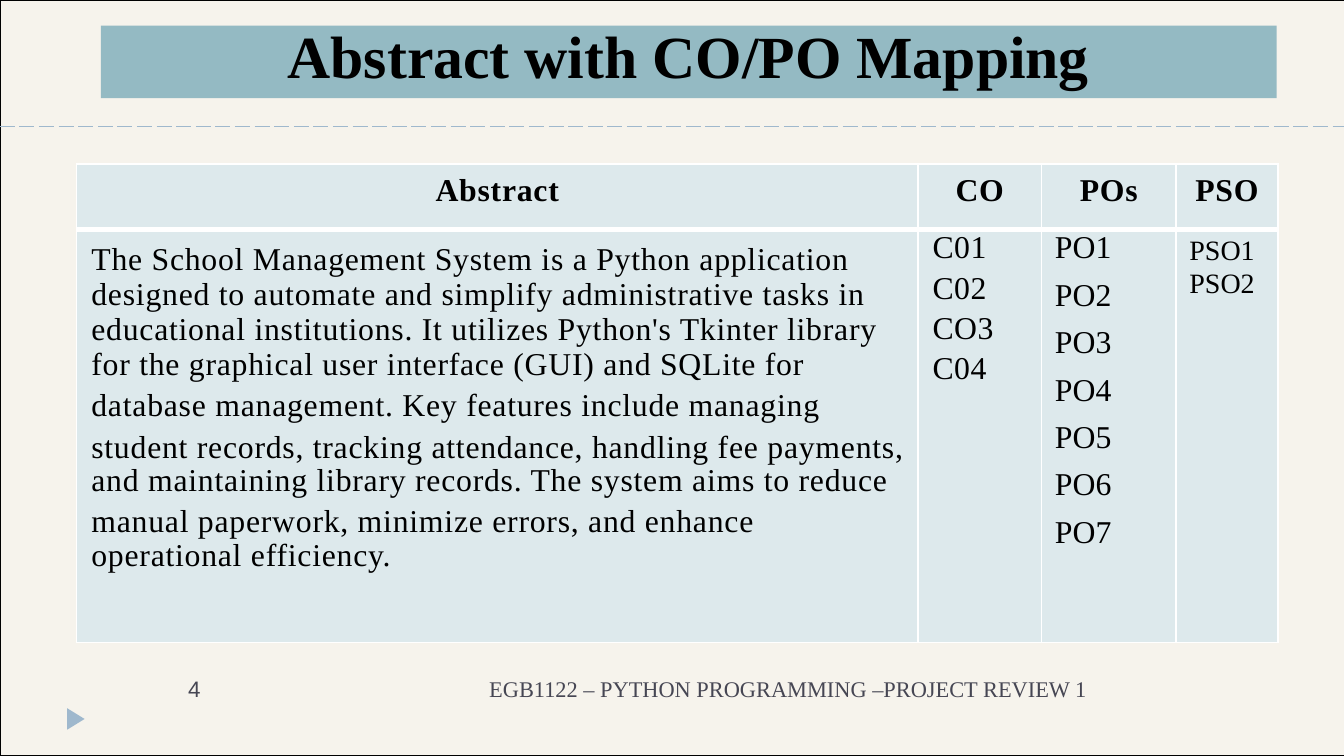
"""Builds the abstract slide with its course and programme outcome mapping."""
from pptx import Presentation
from pptx.dml.color import RGBColor
from pptx.enum.shapes import MSO_SHAPE as Shape
from pptx.enum.text import MSO_ANCHOR as Anchor, PP_ALIGN as Align
from pptx.oxml import parse_xml
from pptx.oxml.ns import nsdecls, qn
from pptx.util import Inches, Pt
from lxml.etree import SubElement

THEME = dict(
    paper="DED3B9", banner="94BAC3", accent="9FB8CD", cell="DDE9EC", white="FFFFFF",
    ink="000000", muted="464653", serif="Times New Roman", sans="Arial",
    title=32, body=17, small=15, footer=12, paper_alpha=27,
)
TITLE = "Abstract with CO/PO Mapping"
PAGE = "4"
FOOTER = "EGB1122 – PYTHON PROGRAMMING –PROJECT REVIEW 1"
ABSTRACT = [
    "The School Management System is a Python application "
    "designed to automate and simplify administrative tasks in "
    "educational institutions. It utilizes Python's Tkinter library "
    "for the graphical user interface (GUI) and SQLite for",
    "database management. Key features include managing",
    "student records, tracking attendance, handling fee payments, "
    "and maintaining library records. The system aims to reduce",
    "manual paperwork, minimize errors, and enhance\voperational efficiency.",
]
COLUMNS = [
    dict(head="Abstract", width=6.26, items=ABSTRACT, size="body", top=0.09, left=0.11,
         right=0.05, lines=(18.9, 18, 18, 18), gap=4, spacing=0.4),
    dict(head="CO", width=0.92, items=["C01", "C02", "CO3", "C04"], size="body",
         top=0.06, left=0.11, right=0, lines=(15,) * 4, gap=6.6, spacing=0.2),
    dict(head="POs", width=1, items=[f"PO{n}" for n in range(1, 8)], size="body",
         top=0.06, left=0.1, right=0, lines=(15,) * 7, gap=10.4, spacing=0),
    dict(head="PSO", width=0.76, items=["PSO1 PSO2"], size="small",
         top=0.03, left=0.1, right=0, lines=(17.7,), gap=0, spacing=0),
]
ROW_HEIGHTS = (0.49, 3.07)
PAGE_ROWS = (0.94, 4.68)
THIN, THICK = ("white", 1, "solid"), ("white", 3, "solid")
EDGE, DASHED = ("ink", 0.25, "solid"), ("accent", 0.75, "dash")


def color(name):
    return RGBColor.from_string(THEME[name])


def style(runs, size, ink="ink", font="serif", bold=False, spacing=0):
    for r in runs:
        r.font.size, r.font.name, r.font.bold = Pt(THEME[size]), THEME[font], bold
        r.font.color.rgb = color(ink)
        r.font._element.set("spc", str(round(spacing * 100)))


def set_margins(box, left=0, top=0, right=0, bottom=0):
    box.margin_left, box.margin_top = Inches(left), Inches(top)
    box.margin_right, box.margin_bottom = Inches(right), Inches(bottom)


def paint(sp, fill):
    sp.shadow.inherit = False
    sp.fill.solid()
    sp.fill.fore_color.rgb = color(fill)
    sp.line.fill.background()


def set_borders(cell, left, right, top, bottom):
    tc_pr = cell._tc.get_or_add_tcPr()
    for i, (side, (ink, width, dash)) in enumerate(zip("LRTB", (left, right, top, bottom))):
        tc_pr.insert(i, parse_xml(
            f'<a:ln{side} {nsdecls("a")} w="{Pt(width)}"><a:solidFill>'
            f'<a:srgbClr val="{THEME[ink]}"/></a:solidFill>'
            f'<a:prstDash val="{dash}"/></a:ln{side}>'))


def add_grid(slide, left, top, widths, heights):
    area = map(Inches, (left, top, sum(widths), sum(heights)))
    table = slide.shapes.add_table(len(heights), len(widths), *area).table
    table.first_row = table.horz_banding = False
    for column, width in zip(table.columns, widths):
        column.width = Inches(width)
    for row, height in zip(table.rows, heights):
        row.height = Inches(height)
    return table


def add_paper(slide, width, height):
    sp = slide.shapes.add_shape(Shape.RECTANGLE, 0, 0, width, height)
    paint(sp, "paper")
    tint = sp._element.spPr.find(qn("a:solidFill"))[0]
    SubElement(tint, qn("a:alpha"), val=str(THEME["paper_alpha"] * 1000))


def add_page_frame(slide):
    table = add_grid(slide, 0, 0, (10,), PAGE_ROWS)
    header, body = table.cell(0, 0), table.cell(1, 0)
    for cell, top, bottom in ((header, EDGE, DASHED), (body, DASHED, EDGE)):
        cell.fill.background()
        set_borders(cell, EDGE, EDGE, top, bottom)
    set_margins(body, left=1.4, top=4.1)
    p = body.text_frame.paragraphs[0]
    for text, font in ((PAGE, "sans"), ("\t" + FOOTER, "serif")):
        r = p.add_run()
        r.text = text
        style([r], "footer", "muted", font)
    tabs = SubElement(p._p.get_or_add_pPr(), qn("a:tabLst"))
    SubElement(tabs, qn("a:tab"), pos=str(Inches(2.24)), algn="l")


def add_marker(slide):
    outline = slide.shapes.build_freeform(Inches(0.5), Inches(5.27))
    outline.add_line_segments([(Inches(0.63), Inches(5.35)), (Inches(0.5), Inches(5.43))])
    paint(outline.convert_to_shape(), "accent")


def add_mapping(slide):
    table = add_grid(slide, 0.57, 1.22, [col["width"] for col in COLUMNS], ROW_HEIGHTS)
    for i, col in enumerate(COLUMNS):
        head, body = table.cell(0, i), table.cell(1, i)
        for cell, top, bottom in ((head, THIN, THICK), (body, THICK, THIN)):
            cell.fill.solid()
            cell.fill.fore_color.rgb = color("cell")
            set_borders(cell, THIN, THIN, top, bottom)
        set_margins(head, top=0.07)
        set_margins(body, col["left"], col["top"], col["right"])
        head.text = col["head"]
        p = head.text_frame.paragraphs[0]
        p.alignment = Align.CENTER
        style(p.runs, "body", bold=True, spacing=0.4)
        tf = body.text_frame
        for n, (text, line) in enumerate(zip(col["items"], col["lines"])):
            p = tf.add_paragraph() if n else tf.paragraphs[0]
            p.text, p.line_spacing = text, Pt(line)
            p.space_before = Pt(col["gap"] if n else 0)
            style(p.runs, col["size"], spacing=col["spacing"])


def add_title(slide):
    area = map(Inches, (0.75, 0.19, 8.75, 0.54))
    sp = slide.shapes.add_shape(Shape.RECTANGLE, *area)
    paint(sp, "banner")
    tf = sp.text_frame
    tf.text, tf.vertical_anchor = TITLE, Anchor.MIDDLE
    set_margins(tf, bottom=0.1)
    p = tf.paragraphs[0]
    p.alignment = Align.CENTER
    style(p.runs, "title", bold=True)


def main():
    prs = Presentation()
    prs.slide_width = Inches(10)
    prs.slide_height = prs.slide_width * 9 // 16
    slide = prs.slides.add_slide(prs.slide_layouts[6])
    add_paper(slide, prs.slide_width, prs.slide_height)
    add_page_frame(slide)
    add_marker(slide)
    add_mapping(slide)
    add_title(slide)
    prs.save("out.pptx")


if __name__ == "__main__":
    main()
